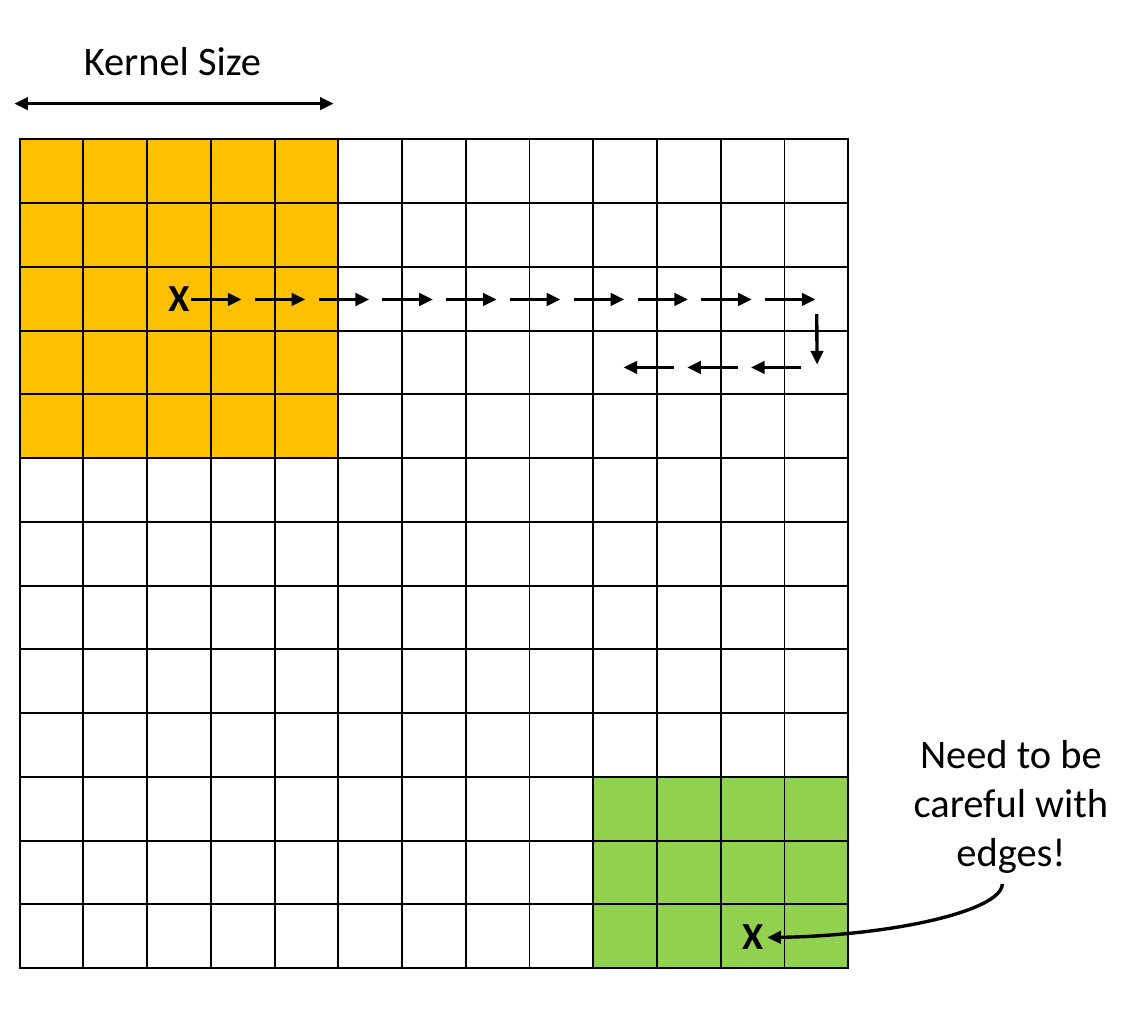
from lxml.etree import SubElement
from pptx import Presentation
from pptx.dml.color import RGBColor
from pptx.enum.shapes import MSO_CONNECTOR
from pptx.enum.text import MSO_ANCHOR, PP_ALIGN
from pptx.oxml.ns import qn
from pptx.util import Pt

COLORS = {"ink": "000000", "kernel": "FFC000", "edge": "92D050"}
FONT = "Calibri"
COUNT = 13
CELL = 28.36
LEFT, TOP = 8.7, 62
STEP = 22.3
MARKS = [(2, 2), (12, 11)]


def color(name):
    return RGBColor.from_string(COLORS[name])


def style(frame, size, align, bold=False):
    for para in frame.paragraphs:
        para.alignment = align
        for run in para.runs:
            run.font.name = FONT
            run.font.size = Pt(size)
            run.font.bold = bold
            run.font.color.rgb = color("ink")


def border(cell):
    props = cell._tc.get_or_add_tcPr()
    for side in ("lnL", "lnR", "lnT", "lnB"):
        line = SubElement(props, qn("a:" + side), w=str(Pt(1)))
        fill = SubElement(line, qn("a:solidFill"))
        SubElement(fill, qn("a:srgbClr"), val=COLORS["ink"])


def paint(cell, row, col):
    if row < 5 and col < 5:
        name = "kernel"
    elif row >= 10 and col >= 9:
        name = "edge"
    else:
        cell.fill.background()
        return
    cell.fill.solid()
    cell.fill.fore_color.rgb = color(name)


def add_grid(slide):
    side = Pt(CELL * COUNT)
    table = slide.shapes.add_table(COUNT, COUNT, Pt(LEFT), Pt(TOP), side, side).table
    table.first_row = False
    table.horz_banding = False
    for line in [*table.rows]:
        line.height = Pt(CELL)
    for line in table.columns:
        line.width = Pt(CELL)
    for row in range(COUNT):
        for col in range(COUNT):
            cell = table.cell(row, col)
            cell.margin_top = cell.margin_bottom = 0
            cell.vertical_anchor = MSO_ANCHOR.MIDDLE
            border(cell)
            paint(cell, row, col)
            if (row, col) in MARKS:
                cell.text_frame.text = "X"
                style(cell.text_frame, 17, PP_ALIGN.CENTER, True)


def add_arrow(slide, start, end, kind=MSO_CONNECTOR.STRAIGHT, both=False):
    points = [Pt(v) for v in (*start, *end)]
    arrow = slide.shapes.add_connector(kind, *points)
    arrow.line.color.rgb = color("ink")
    arrow.line.width = Pt(1.5)
    line = arrow.line._get_or_add_ln()
    for tip in ("headEnd", "tailEnd") if both else ("tailEnd",):
        SubElement(line, qn("a:" + tip), type="triangle")
    SubElement(arrow._element.spPr, qn("a:effectLst"))
    return arrow


def add_curve(slide, start, end):
    wide, high = start[0] - end[0], end[1] - start[1]
    midx, midy = (start[0] + end[0]) / 2, (start[1] + end[1]) / 2
    first = (midx - high / 2, midy - wide / 2)
    last = (midx + high / 2, midy + wide / 2)
    curve = add_arrow(slide, first, last, MSO_CONNECTOR.CURVE)
    props = curve._element.spPr
    props.find(qn("a:xfrm")).set("rot", str(90 * 60000))
    props.find(qn("a:prstGeom")).set("prst", "curvedConnector2")


def add_label(slide, text, left, top, width, height, align, wrap):
    box = slide.shapes.add_textbox(Pt(left), Pt(top), Pt(width), Pt(height))
    box.text_frame.word_wrap = wrap
    box.text_frame.text = text
    style(box.text_frame, 18, align)


def add_scan(slide):
    for i in range(10):
        x = 85 + i * CELL
        add_arrow(slide, (x, 133.2), (x + STEP, 133.2))
    add_arrow(slide, (363.2, 139.7), (363.4, 162))
    for i in range(3):
        x = 356.4 - i * CELL
        add_arrow(slide, (x, 163.4), (x - STEP, 163.4))


def main():
    deck = Presentation()
    deck.slide_width, deck.slide_height = Pt(510.5), Pt(453.6)
    slide = deck.slides.add_slide(deck.slide_layouts[6])
    add_grid(slide)
    add_scan(slide)
    add_label(slide, "Need to be careful with edges!", 389.6, 320.4, 120, 72.7,
              PP_ALIGN.CENTER, True)
    add_curve(slide, (445.7, 393.1), (341.3, 416.9))
    add_arrow(slide, (6.5, 46.1), (148.3, 46.1), both=True)
    add_label(slide, "Kernel Size", 30.2, 12.2, 94.3, 29, PP_ALIGN.LEFT, False)
    deck.save("out.pptx")


main()
